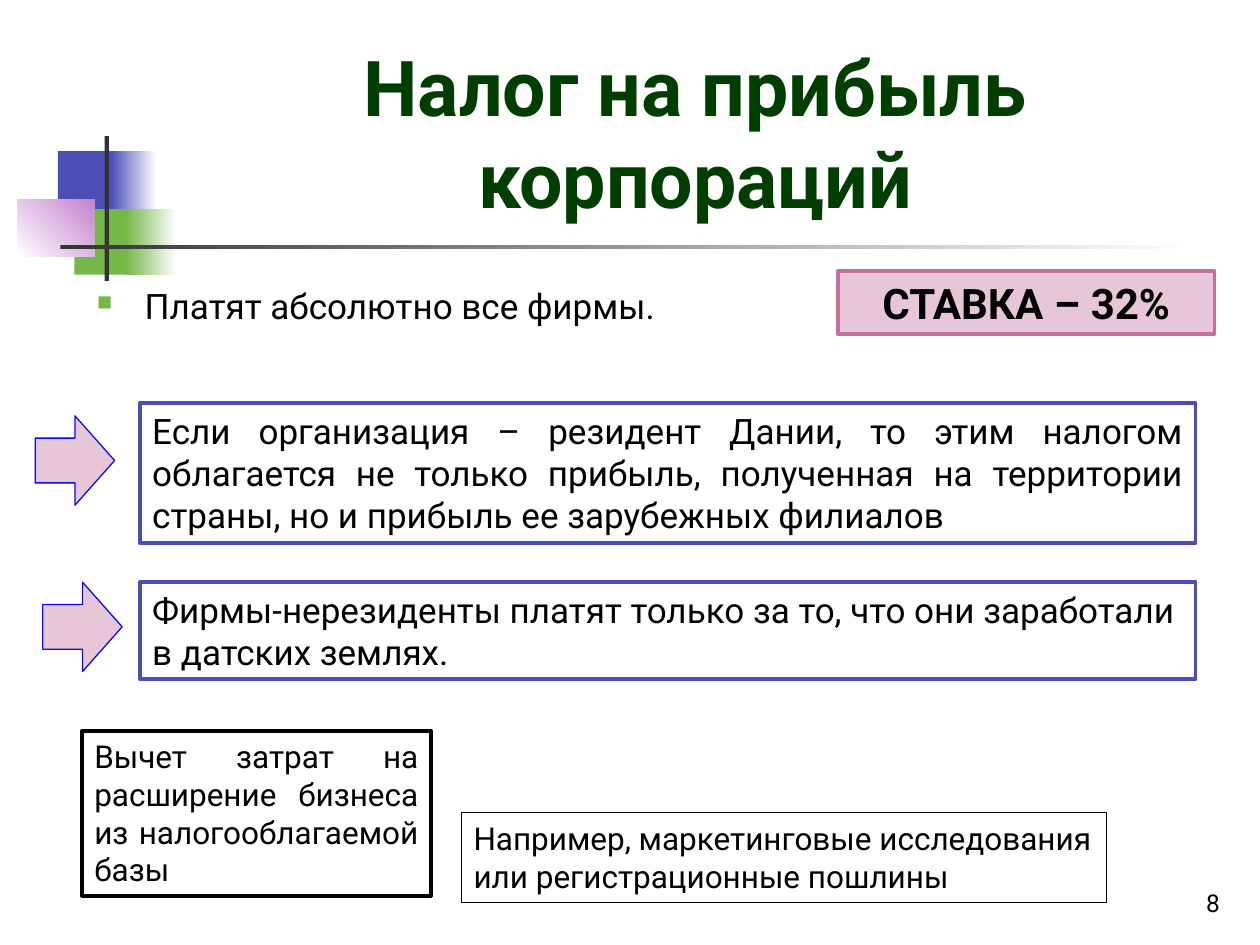
from lxml import etree
from pptx import Presentation
from pptx.dml.color import RGBColor
from pptx.enum.shapes import MSO_SHAPE
from pptx.enum.text import MSO_ANCHOR, MSO_AUTO_SIZE, PP_ALIGN
from pptx.oxml.ns import qn
from pptx.util import Inches, Pt

RECT, ARROW = MSO_SHAPE.RECTANGLE, MSO_SHAPE.RIGHT_ARROW
LEFT, MID, RIGHT, JUST = PP_ALIGN.LEFT, PP_ALIGN.CENTER, PP_ALIGN.RIGHT, PP_ALIGN.JUSTIFY
TOP, BASE = MSO_ANCHOR.TOP, MSO_ANCHOR.BOTTOM
GROW = MSO_AUTO_SIZE.SHAPE_TO_FIT_TEXT
COLS, ROWS = 100, 75
BLUE, GREEN, MAUVE, GREY = "4B4EB5", "76B749", "C481CF", "333333"
WHITE, BLACK, PINK, ROSE = "FFFFFF", "000000", "E7C6D7", "C4709A"

deck = Presentation()
deck.slide_width, deck.slide_height = Inches(10), Inches(7.5)
col, row = deck.slide_width / COLS, deck.slide_height / ROWS
slide = deck.slides.add_slide(deck.slide_layouts[5])
shapes = slide.shapes
color = RGBColor.from_string


def place(x, y, w, h):
    return int(x * col), int(y * row), int(w * col), int(h * row)


def write(shape, text, size, align=LEFT, anchor=TOP, bold=False, ink=BLACK):
    frame = shape.text_frame
    frame.word_wrap = True
    frame.vertical_anchor = anchor
    frame.text = text
    para = frame.paragraphs[0]
    para.alignment = align
    font = para.font
    font.name, font.size, font.bold = "Roboto", Pt(size), bold
    font.color.rgb = color(ink)
    return para


decor = [
    ((4.6, 12, 4.8, 5.2), BLUE, BLUE, 0),
    ((8.8, 12, 3.6, 5.2), BLUE, WHITE, 0),
    ((5.9, 16.6, 4.6, 5.2), GREEN, GREEN, 0),
    ((10, 16.6, 4, 5.2), GREEN, WHITE, 0),
    ((1.4, 15.8, 6.1, 4.6), WHITE, MAUVE, 45),
    ((8.3, 10.8, 0.35, 11.5), GREY, GREY, 0),
    ((4.8, 19.45, 90, 0.35), GREY, WHITE, 0),
]
for area, start, end, angle in decor:
    block = shapes.add_shape(RECT, *place(*area))
    block.shadow.inherit = False
    block.line.fill.background()
    if start == end:
        block.fill.solid()
        block.fill.fore_color.rgb = color(start)
    else:
        block.fill.gradient()
        block.fill.gradient_angle = angle
        for stop, tone in zip(block.fill.gradient_stops, (start, end)):
            stop.color.rgb = color(tone)

title = shapes.title
title.left, title.top, title.width, title.height = place(12.6, 2.3, 85.2, 16)
write(title, "Налог на прибыль корпораций", 44, MID, BASE, True, "003E00")

body = shapes.add_textbox(*place(6.7, 22.1, 48.8, 4.4))
point = write(body, "Платят абсолютно все фирмы.", 20)
point.space_before = Pt(4)
props = point._p.get_or_add_pPr()
props.set("marL", str(Inches(0.38)))
props.set("indent", str(-Inches(0.38)))
tone = etree.SubElement(props, qn("a:buClr"))
etree.SubElement(tone, qn("a:srgbClr"), val=GREEN)
etree.SubElement(props, qn("a:buSzPct"), val="60000")
etree.SubElement(props, qn("a:buChar"), char="■")
props.append(props.find(qn("a:defRPr")))

page = shapes.add_textbox(*place(77, 68.3, 20.8, 5))
write(page, "8", 14, RIGHT, BASE)

cards = [
    ((66.5, 21.5, 29.9, 5), RECT, PINK, ROSE, 2, "СТАВКА – 32%", 24, MID),
    ((11.1, 32, 83.8, 11.1), RECT, WHITE, BLUE, 2,
     "Если организация – резидент Дании, то этим налогом облагается не только "
     "прибыль, полученная на территории страны, но и прибыль ее зарубежных филиалов",
     20, JUST),
    ((2.8, 33, 6.3, 7.1), ARROW, PINK, "0A0AFF", 0.75, "", 0, LEFT),
    ((11.1, 46.2, 83.8, 7.7), RECT, WHITE, BLUE, 2,
     "Фирмы-нерезиденты платят только за то, что они заработали в датских землях.",
     20, LEFT),
    ((3.4, 46.2, 6.3, 7.1), ARROW, PINK, "0A0AFF", 0.75, "", 0, LEFT),
    ((6.5, 58, 27.7, 13.1), RECT, WHITE, BLACK, 2,
     "Вычет затрат на расширение бизнеса из налогооблагаемой базы", 18, JUST),
    ((36.6, 64.5, 51.2, 7.1), RECT, WHITE, BLACK, 0.5,
     "Например, маркетинговые исследования или регистрационные пошлины", 18, LEFT),
]
for area, kind, fill, edge, width, text, size, align in cards:
    card = shapes.add_shape(kind, *place(*area))
    card.shadow.inherit = False
    card.fill.solid()
    card.fill.fore_color.rgb = color(fill)
    card.line.color.rgb = color(edge)
    card.line.width = Pt(width)
    if text:
        write(card, text, size, align, bold=align == MID)
        card.text_frame.auto_size = GROW

deck.save("out.pptx")
